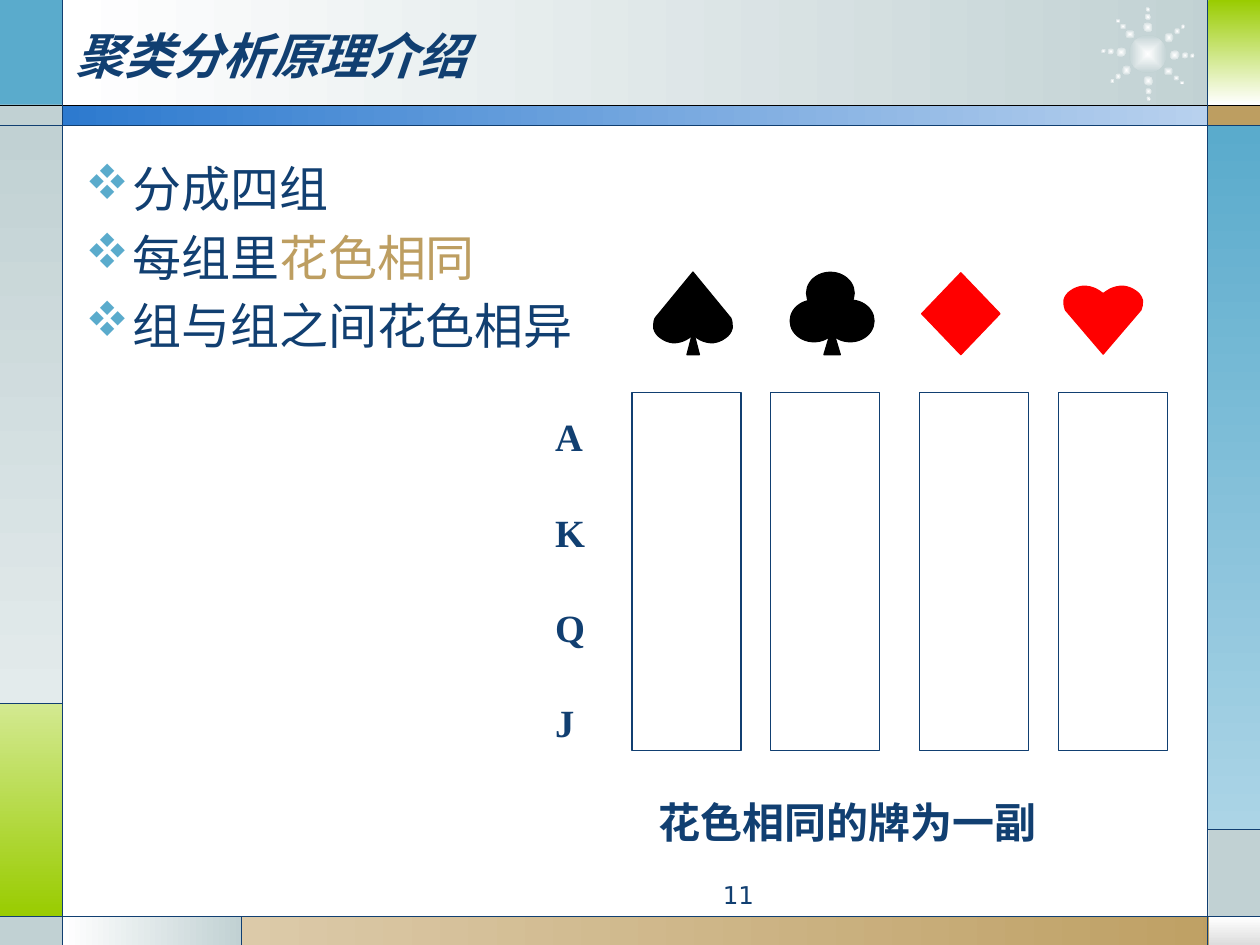
from math import cos, radians, sin

from lxml import etree
from pptx import Presentation
from pptx.dml.color import RGBColor
from pptx.enum.shapes import MSO_CONNECTOR, MSO_SHAPE
from pptx.enum.text import MSO_ANCHOR, PP_ALIGN
from pptx.oxml.ns import qn
from pptx.util import Cm, Pt

RECT, OVAL = MSO_SHAPE.RECTANGLE, MSO_SHAPE.OVAL
STEM, DIAMOND = MSO_SHAPE.FLOWCHART_EXTRACT, MSO_SHAPE.FLOWCHART_DECISION
STRAIGHT = MSO_CONNECTOR.STRAIGHT
TOP, MIDDLE = MSO_ANCHOR.TOP, MSO_ANCHOR.MIDDLE
LEFT, CENTER, RIGHT, JUSTIFY = PP_ALIGN.LEFT, PP_ALIGN.CENTER, PP_ALIGN.RIGHT, PP_ALIGN.JUSTIFY

WHITE = RGBColor(0xFF, 0xFF, 0xFF)
BLACK = RGBColor(0x00, 0x00, 0x00)
RED = RGBColor(0xFF, 0x00, 0x00)
NAVY = RGBColor(0x11, 0x3F, 0x71)
SKY = RGBColor(0x5A, 0xAB, 0xCC)
PALE_SKY = RGBColor(0xAB, 0xD4, 0xE6)
GREY = RGBColor(0xC1, 0xD1, 0xD3)
PALE_GREY = RGBColor(0xE3, 0xEB, 0xEC)
SILVER = RGBColor(0xDD, 0xDD, 0xDD)
GREEN = RGBColor(0x99, 0xCC, 0x00)
PALE_GREEN = RGBColor(0xD3, 0xE9, 0x91)
TAN = RGBColor(0xBD, 0x9E, 0x61)
PALE_TAN = RGBColor(0xDC, 0xCA, 0xA9)
BLUE = RGBColor(0x2D, 0x7A, 0xCF)
PALE_BLUE = RGBColor(0xB8, 0xD1, 0xEE)

ACROSS, DOWN = 0, 270
SANS = "DejaVu Sans"

prs = Presentation()
prs.slide_width, prs.slide_height = Cm(25.4), Cm(19.05)
s = prs.slides.add_slide(prs.slide_layouts[6])


def paint(sp, colors, line=None, angle=ACROSS):
    """Fill with one colour, or with a gradient between two."""
    sp.shadow.inherit = False
    if len(colors) == 1:
        sp.fill.solid()
        sp.fill.fore_color.rgb = colors[0]
    else:
        sp.fill.gradient()
        sp.fill.gradient_angle = angle
        for stop, color, position in zip(sp.fill.gradient_stops, colors, (0, 1)):
            stop.color.rgb, stop.position = color, position
    if line is None:
        sp.line.fill.background()
    else:
        sp.line.color.rgb, sp.line.width = line, Pt(0.75)
    return sp


def add_text(box, paragraphs, font, align=LEFT, anchor=TOP, spacing=None):
    """Add a text box; each paragraph is a list of (text, colour) runs."""
    tf = s.shapes.add_textbox(*map(Cm, box)).text_frame
    tf.word_wrap, tf.vertical_anchor = True, anchor
    for i, runs in enumerate(paragraphs):
        p = tf.paragraphs[0] if i == 0 else tf.add_paragraph()
        p.alignment = align
        if spacing:
            p.line_spacing = spacing
        for text, color in runs:
            r = p.add_run()
            r.text = text
            for name, value in font.items():
                setattr(r.font, name, value)
            r.font.color.rgb = color
    return tf


# Frame panels
for box, colors, angle in (
    ((1.27, 0, 23.55, 2.13), (WHITE, GREY), ACROSS),
    ((0, 0, 1.27, 2.13), (SKY,), ACROSS),
    ((0, 2.11, 1.27, 0.43), (GREY,), ACROSS),
    ((0, 2.54, 1.27, 11.63), (GREY, PALE_GREY), DOWN),
    ((0, 14.17, 1.27, 4.3), (PALE_GREEN, GREEN), DOWN),
    ((0, 18.48, 1.27, 0.57), (GREY,), ACROSS),
    ((1.27, 18.47, 3.61, 0.58), (WHITE, GREY), ACROSS),
    ((4.88, 18.47, 20.52, 0.58), (PALE_TAN, TAN), ACROSS),
    ((24.37, 18.48, 1.03, 0.57), (WHITE, SILVER), DOWN),
    ((24.36, 16.71, 1.04, 1.77), (GREY,), ACROSS),
    ((24.34, 2.54, 1.06, 14.17), (SKY, PALE_SKY), DOWN),
    ((24.34, 2.11, 1.06, 0.43), (TAN,), ACROSS),
    ((24.36, 0, 1.04, 2.11), (GREEN, WHITE), DOWN),
    ((1.27, 2.11, 23.09, 0.43), (BLUE, PALE_BLUE), ACROSS),
):
    paint(s.shapes.add_shape(RECT, *map(Cm, box)), colors, angle=angle)

# Star: a core and eight rays of three dots, each fading outwards
dots = [(23.14, 1.09, 0.76, 0.76, 2.5)]
for ray in (2, 40, 89, 143, 184, 228, 270, 322):
    for radius, w, h in ((0.54, 0.2, 0.18), (0.75, 0.13, 0.12), (0.9, 0.1, 0.08)):
        dots.append((23.14 + radius * cos(radians(ray)), 1.09 + radius * sin(radians(ray)),
                     w, h, (ray - 38) % 360))
for x, y, w, h, turn in dots:
    sp = s.shapes.add_shape(OVAL, Cm(x - w / 2), Cm(y - h / 2), Cm(w), Cm(h))
    sp.rotation = turn
    paint(sp, (WHITE, GREY))
    grad = sp._element.spPr.find(qn("a:gradFill"))
    grad.remove(grad.find(qn("a:lin")))
    radial = etree.SubElement(grad, qn("a:path"), {"path": "shape"})
    etree.SubElement(radial, qn("a:fillToRect"), dict.fromkeys("ltrb", "50000"))

# Frame lines
for ends, color in (
    ((0, 2.12, 25.4, 2.12), BLACK),
    ((0, 2.53, 25.4, 2.53), NAVY),
    ((0, 18.47, 25.4, 18.47), NAVY),
    ((1.26, 0, 1.26, 19.05), NAVY),
    ((24.34, 0, 24.34, 19.05), NAVY),
    ((1.27, 14.18, 0, 14.18), NAVY),
    ((4.87, 18.47, 4.87, 19.05), NAVY),
    ((24.34, 16.72, 25.4, 16.72), NAVY),
):
    line = s.shapes.add_connector(STRAIGHT, *map(Cm, ends))
    line.line.color.rgb, line.line.width = color, Pt(0.75)
    etree.SubElement(line._element.spPr, qn("a:effectLst"))

# Title
add_text((1.27, 0.1, 22.86, 2.03), [[("聚类分析原理介绍", NAVY)]],
         {"name": SANS, "size": Pt(28), "bold": True, "italic": True}, anchor=MIDDLE)

# Bullets: "v" is the four-diamond sign in the symbol font
tf = add_text((1.47, 3.07, 12.22, 12.57),
              [[("分成四组", NAVY)],
               [("每组里", NAVY), ("花色相同", TAN)],
               [("组与组之间花色相异", NAVY)]],
              {"name": SANS, "size": Pt(28)})
for i, p in enumerate(tf.paragraphs):
    if i:
        p.space_before = Pt(5.6)
    pPr = p._p.get_or_add_pPr()
    pPr.set("marL", str(Cm(0.95)))
    pPr.set("indent", str(-Cm(0.95)))
    bullet_color = etree.SubElement(pPr, qn("a:buClr"))
    etree.SubElement(bullet_color, qn("a:srgbClr"), val=str(SKY))
    etree.SubElement(pPr, qn("a:buFont"), typeface="Wingdings", charset="2")
    etree.SubElement(pPr, qn("a:buChar"), char="v")

# Suits built from preset shapes
for kind, box, color in (
    (OVAL, (16.26, 5.49, 0.96, 0.84), BLACK),
    (OVAL, (16.66, 6.05, 0.96, 0.84), BLACK),
    (OVAL, (15.93, 6.05, 0.96, 0.84), BLACK),
    (STEM, (16.61, 6.6, 0.33, 0.55), BLACK),
    (DIAMOND, (18.58, 5.5, 1.58, 1.65), RED),
    (STEM, (13.85, 6.67, 0.25, 0.48), BLACK),
):
    paint(s.shapes.add_shape(kind, *map(Cm, box)), (color,), color)

# Heart and spade: five Bezier curves from notch to side, mirrored; the spade is upside down
lobe = [(0, 0.15), (0.04, 0.12), (0.1, 0.08), (0.14, 0.06), (0.22, 0.02), (0.31, 0),
        (0.4, 0), (0.49, 0.01), (0.58, 0.04), (0.66, 0.1), (0.72, 0.14), (0.77, 0.2),
        (0.79, 0.28), (0.79, 0.36), (0.79, 0.43), (0.76, 0.48)]
outline = lobe + [(0, 1.37)] + [(-x, y) for x, y in reversed(lobe)]
for left, top, stretch, color in ((22.24, 5.77, 1, RED), (13.97, 6.91, -1.04, BLACK)):
    points = [(Cm(left + x), Cm(top + stretch * y)) for x, y in outline]
    builder = s.shapes.build_freeform(*points[0])
    builder.add_line_segments(points[1:], close=True)
    sp = paint(builder.convert_to_shape(), (color,), color)
    segments = list(sp._element.spPr.iter(qn("a:lnTo")))
    for start in (*range(0, 15, 3), *range(17, 32, 3)):
        curve = etree.Element(qn("a:cubicBezTo"))
        segments[start].addprevious(curve)
        for segment in segments[start:start + 3]:
            curve.append(segment[0])
            segment.getparent().remove(segment)

# Rank labels
for i, rank in enumerate("AKQJ"):
    add_text((10.94, 7.13 + 1.92 * i, 1.9, 1.37), [[(rank, NAVY)]],
             {"name": "Times New Roman", "size": Pt(22), "bold": True}, JUSTIFY, spacing=2.16)

# Empty columns, one per suit
for x in (12.74, 15.53, 18.54, 21.34):
    paint(s.shapes.add_shape(RECT, Cm(x), Cm(7.92), Cm(2.2), Cm(7.21)), (WHITE,), NAVY)

# Caption and page number
add_text((9.73, 15.93, 14.71, 1.27), [[("花色相同的牌为一副", NAVY)]],
         {"name": "Arial", "size": Pt(24), "bold": True}, CENTER)
add_text((9.53, 17.61, 5.92, 0.69), [[("11", NAVY)]],
         {"name": SANS, "size": Pt(14)}, RIGHT)

prs.save("out.pptx")
